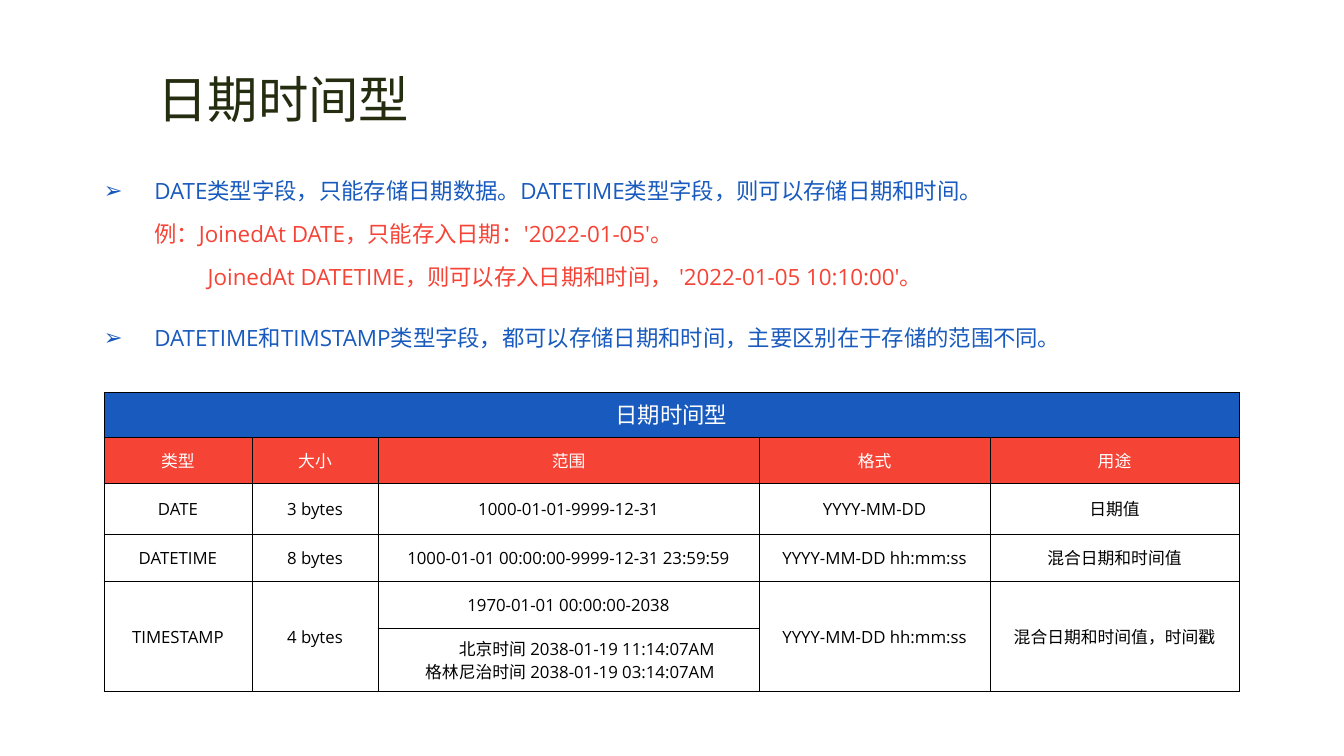
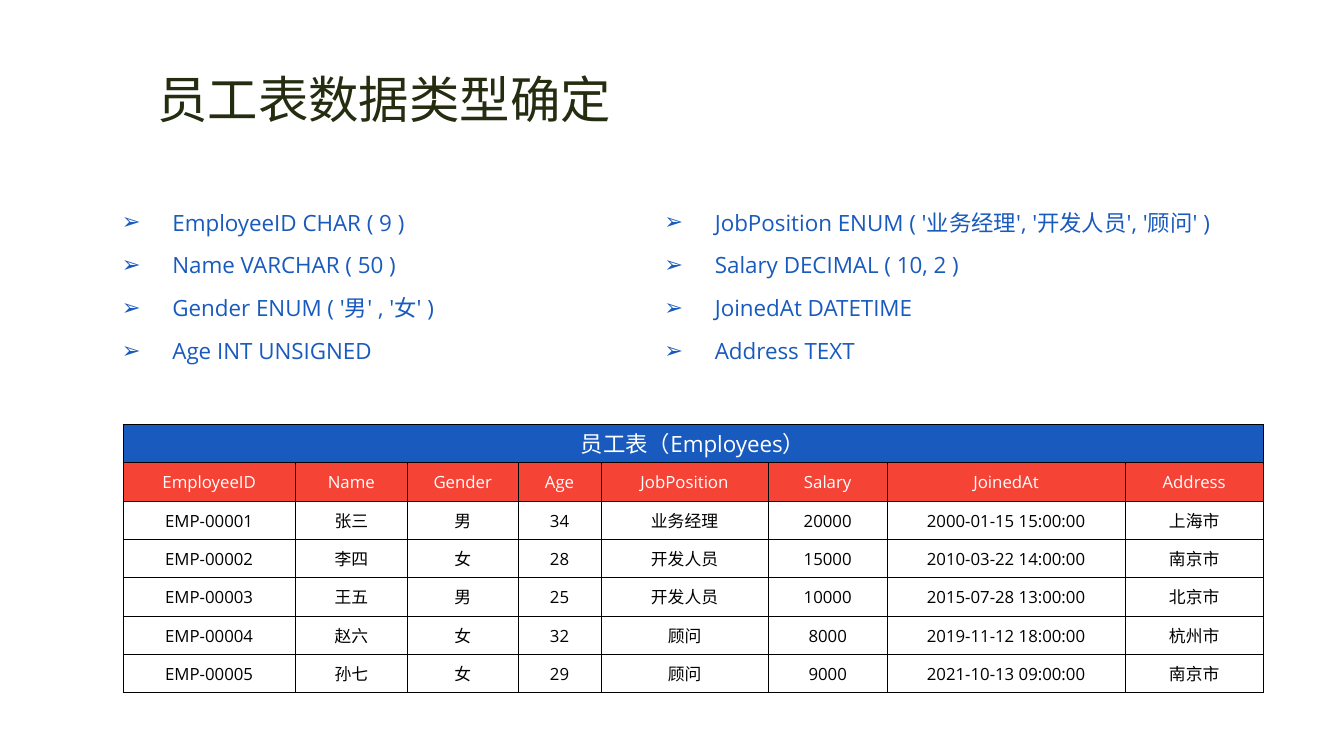
from dataclasses import dataclass

from lxml.etree import SubElement
from pptx import Presentation
from pptx.dml.color import RGBColor as RGB
from pptx.enum.text import MSO_ANCHOR as ANCHOR, MSO_AUTO_SIZE as AUTO_SIZE, PP_ALIGN as ALIGN
from pptx.oxml import parse_xml
from pptx.oxml.ns import nsdecls, qn
from pptx.util import Inches, Pt


@dataclass(frozen=True)
class Theme:
    font: str = "Open Sans"
    olive: RGB = RGB(0x24, 0x2D, 0x10)
    blue: RGB = RGB(0x18, 0x5A, 0xBD)
    red: RGB = RGB(0xF5, 0x43, 0x36)
    white: RGB = RGB(0xFF, 0xFF, 0xFF)
    black: RGB = RGB(0, 0, 0)
    title_size: int = 36
    list_size: int = 16
    cell_size: int = 12
    line_spacing: float = 1.6
    bullet: str = "➢"
    border: float = 0.5


theme = Theme()
TITLE_BOX = (1.46, 0.63, 10.4, 0.71)
LIST_INDENT = 0.5

# A list line is (text, left indent, bulleted).
slides = [
    {
        "title": "日期时间型",
        "lists": [
            ((0.93, 1.55, 10.32, 1.34), [
                ("DATE类型字段，只能存储日期数据。DATETIME类型字段，则可以存储日期和时间。", LIST_INDENT, True),
                ("例：JoinedAt DATE，只能存入日期：'2022-01-05'。", LIST_INDENT, False),
                ("JoinedAt DATETIME，则可以存入日期和时间， '2022-01-05 10:10:00'。", 1.03, False),
            ]),
            ((0.93, 3.01, 10.32, 0.48), [
                ("DATETIME和TIMSTAMP类型字段，都可以存储日期和时间，主要区别在于存储的范围不同。", LIST_INDENT, True),
            ]),
        ],
        "table_at": (1.03, 3.89),
        "columns": [1.47, 1.25, 3.78, 2.29, 2.47],
        "rows": [0.45, 0.45, 0.51, 0.47, 0.46, 0.63],
        "cells": [
            ["日期时间型"],
            ["类型", "大小", "范围", "格式", "用途"],
            ["DATE", "3 bytes", "1000-01-01-9999-12-31", "YYYY-MM-DD", "日期值"],
            ["DATETIME", "8 bytes", "1000-01-01 00:00:00-9999-12-31 23:59:59",
             "YYYY-MM-DD hh:mm:ss", "混合日期和时间值"],
            ["TIMESTAMP", "4 bytes", "1970-01-01 00:00:00-2038",
             "YYYY-MM-DD hh:mm:ss", "混合日期和时间值，时间戳"],
            ["", "", "北京时间 2038-01-19 11:14:07AM\n格林尼治时间 2038-01-19 03:14:07AM"],
        ],
        "tall_columns": [0, 1, 3, 4],
    },
    {
        "title": "员工表数据类型确定",
        "lists": [
            ((1.11, 1.86, 4.11, 1.78), [
                (text, LIST_INDENT, True) for text in (
                    "EmployeeID CHAR ( 9 )", "Name VARCHAR ( 50 )",
                    "Gender ENUM ( '男' , '女' )", "Age INT UNSIGNED")
            ]),
            ((6.49, 1.86, 6.03, 1.78), [
                (text, LIST_INDENT, True) for text in (
                    "JobPosition ENUM ( '业务经理', '开发人员', '顾问' )",
                    "Salary DECIMAL ( 10, 2 )", "JoinedAt DATETIME", "Address TEXT")
            ]),
        ],
        "table_at": (1.22, 4.21),
        "columns": [1.71, 1.11, 1.1, 0.82, 1.66, 1.18, 2.36, 1.37],
        "rows": [0.38] * 7,
        "cells": [
            ["员工表（Employees）"],
            ["EmployeeID", "Name", "Gender", "Age", "JobPosition", "Salary", "JoinedAt", "Address"],
            ["EMP-00001", "张三", "男", "34", "业务经理", "20000", "2000-01-15 15:00:00", "上海市"],
            ["EMP-00002", "李四", "女", "28", "开发人员", "15000", "2010-03-22 14:00:00", "南京市"],
            ["EMP-00003", "王五", "男", "25", "开发人员", "10000", "2015-07-28 13:00:00", "北京市"],
            ["EMP-00004", "赵六", "女", "32", "顾问", "8000", "2019-11-12 18:00:00", "杭州市"],
            ["EMP-00005", "孙七", "女", "29", "顾问", "9000", "2021-10-13 09:00:00", "南京市"],
        ],
        "tall_columns": [],
    },
]


def style_text(paragraph, size, color, align):
    paragraph.alignment = align
    for run in paragraph.runs:
        run.font.size = Pt(size)
        run.font.name = theme.font
        run.font.color.rgb = color
        SubElement(run.font._element, qn("a:ea"), typeface=theme.font)


def place(shape, box):
    """Move a placeholder to a box in inches and stop its text from shrinking."""
    shape.left, shape.top, shape.width, shape.height = map(Inches, box)
    shape.text_frame.auto_size = AUTO_SIZE.NONE
    shape.text_frame.vertical_anchor = ANCHOR.TOP


presentation = Presentation()
presentation.slide_width, presentation.slide_height = Inches(13.33), Inches(7.5)
two_content = presentation.slide_layouts[3]

for content in slides:
    slide = presentation.slides.add_slide(two_content)
    title, *bodies = slide.placeholders
    place(title, TITLE_BOX)
    title.text_frame.text = content["title"]
    style_text(title.text_frame.paragraphs[0], theme.title_size, theme.olive, ALIGN.LEFT)

    for body, (box, lines) in zip(bodies, content["lists"]):
        place(body, box)
        body.text_frame.text = "\n".join(text for text, _, _ in lines)
        for paragraph, (_, indent, bulleted) in zip(body.text_frame.paragraphs, lines):
            properties = paragraph._p.get_or_add_pPr()
            properties.set("marL", str(Inches(indent)))
            properties.set("indent", str(-Inches(LIST_INDENT) if bulleted else 0))
            if bulleted:
                SubElement(properties, qn("a:buChar"), char=theme.bullet)
            else:
                SubElement(properties, qn("a:buNone"))
            paragraph.line_spacing = theme.line_spacing
            paragraph.space_before = Pt(0)
            style_text(paragraph, theme.list_size, theme.blue if bulleted else theme.red, ALIGN.LEFT)

    columns, rows = content["columns"], content["rows"]
    left, top = content["table_at"]
    table = slide.shapes.add_table(
        len(rows), len(columns), Inches(left), Inches(top),
        Inches(sum(columns)), Inches(sum(rows))).table
    table.first_row = table.horz_banding = False
    for column, width in zip(table.columns, columns):
        column.width = Inches(width)
    for row, height in zip(table.rows, rows):
        row.height = Inches(height)

    for row_index, row in enumerate(table.rows):
        size = theme.cell_size if row_index else theme.list_size
        fill = (theme.blue, theme.red)[row_index] if row_index < 2 else None
        texts = content["cells"][row_index]
        for column_index, cell in enumerate(row.cells):
            cell.text = texts[column_index] if column_index < len(texts) else ""
            cell.vertical_anchor = ANCHOR.MIDDLE
            cell.margin_left = cell.margin_right = cell.margin_top = Inches(0.01)
            cell.margin_bottom = 0
            align = ALIGN.CENTER
            if "\n" in cell.text:
                align = ALIGN.RIGHT
                cell.margin_right = Inches(0.44)
            for paragraph in cell.text_frame.paragraphs:
                style_text(paragraph, size, theme.white if fill else theme.black, align)
            if fill:
                cell.fill.solid()
                cell.fill.fore_color.rgb = fill
            else:
                cell.fill.background()
            for position, side in enumerate("LRTB"):
                cell._tc.get_or_add_tcPr().insert(position, parse_xml(
                    f'<a:ln{side} {nsdecls("a")} w="{Pt(theme.border)}"><a:solidFill>'
                    f'<a:srgbClr val="{theme.black}"/></a:solidFill></a:ln{side}>'))

    table.cell(0, 0).merge(table.cell(0, len(columns) - 1))
    last = len(rows) - 1
    for column_index in content["tall_columns"]:
        table.cell(last - 1, column_index).merge(table.cell(last, column_index))

presentation.save("out.pptx")
